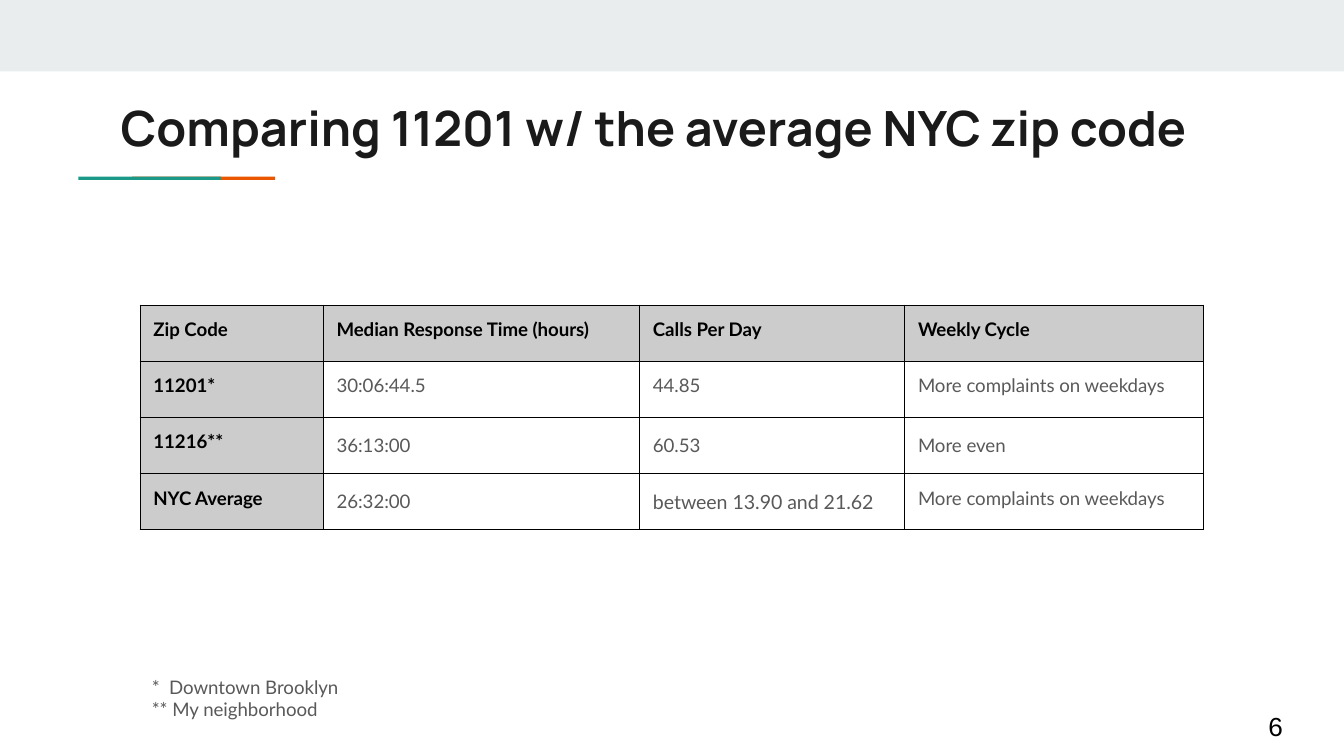
"""Build the slide that compares zip code 11201 with the NYC average."""
from dataclasses import dataclass

from lxml.etree import SubElement
from pptx import Presentation
from pptx.dml.color import RGBColor
from pptx.enum.shapes import MSO_SHAPE as Shape
from pptx.enum.text import MSO_ANCHOR as Anchor, MSO_AUTO_SIZE as AutoSize, PP_ALIGN as Align
from pptx.oxml.ns import qn
from pptx.util import Cm, Pt


@dataclass(frozen=True)
class Theme:
    """Colours, fonts and type sizes of the slide."""
    band: str = "E9EDEE"
    teal: str = "1A9988"
    orange: str = "EB5600"
    ink: str = "1A1A1A"
    black: str = "000000"
    grey: str = "595959"
    head_fill: str = "CCCCCC"
    title_font: str = "Manrope"
    body_font: str = "Lato"
    number_font: str = "Arial"
    title_size: float = 26
    body_size: float = 10
    range_size: float = 10.5
    number_size: float = 14
    border: float = 0.75
    inset: float = 0.25


THEME = Theme()
ROWS = [
    ["Zip Code", "Median Response Time (hours)", "Calls Per Day", "Weekly Cycle"],
    ["11201*", "30:06:44.5", "44.85", "More complaints on weekdays"],
    ["11216**", "36:13:00", "60.53", "More even"],
    ["NYC Average", "26:32:00", "between 13.90 and 21.62", "More complaints on weekdays"],
]
COLUMN_WIDTHS = [3.46, 5.98, 5.01, 5.64]
ROW_HEIGHT = 1.06
LOOSE_CELLS = {(2, 1), (2, 2), (2, 3), (3, 1), (3, 2)}
RANGE_CELL = (3, 2)


def style_paragraph(para, font, size, color, bold=False, spacing=1.0):
    """Set the type and line spacing of a paragraph."""
    para.font.name = font
    para.font.size = Pt(size)
    para.font.bold = bold
    para.font.color.rgb = RGBColor.from_string(color)
    para.line_spacing = spacing
    para.alignment = Align.LEFT


def set_insets(holder):
    """Give a text frame or table cell the common inset on all sides."""
    for side in ("left", "top", "right", "bottom"):
        setattr(holder, f"margin_{side}", Cm(THEME.inset))


def add_bar(page, left, top, width, height, color):
    """Add a plain filled rectangle."""
    bar = page.shapes.add_shape(Shape.RECTANGLE, Cm(left), Cm(top), Cm(width), Cm(height))
    bar.shadow.inherit = False
    bar.fill.solid()
    bar.fill.fore_color.rgb = RGBColor.from_string(color)
    bar.line.fill.background()


def set_title(page, text):
    """Fill, place and format the title placeholder."""
    title = page.shapes.title
    title.left, title.top, title.width, title.height = Cm(2.03), Cm(1.6), Cm(21.36), Cm(1.5)
    frame = title.text_frame
    frame.text = text
    frame.auto_size = AutoSize.NONE
    frame.vertical_anchor = Anchor.TOP
    set_insets(frame)
    style_paragraph(frame.paragraphs[0], THEME.title_font, THEME.title_size, THEME.ink, True)


def add_text(page, left, top, width, height, lines, font, size, color, anchor=Anchor.TOP):
    """Add a text box with one paragraph per line."""
    box = page.shapes.add_textbox(Cm(left), Cm(top), Cm(width), Cm(height))
    frame = box.text_frame
    frame.word_wrap = True
    frame.vertical_anchor = anchor
    set_insets(frame)
    frame.text = "\n".join(lines)
    for para in frame.paragraphs:
        style_paragraph(para, font, size, color)


def add_borders(cell):
    """Draw a thin black line on every side of a cell."""
    properties = cell._tc.get_or_add_tcPr()
    for position, side in enumerate(("lnL", "lnR", "lnT", "lnB")):
        line = SubElement(properties, qn(f"a:{side}"), w=str(Pt(THEME.border)))
        fill = SubElement(line, qn("a:solidFill"))
        SubElement(fill, qn("a:srgbClr"), val=THEME.black)
        properties.insert(position, line)


def format_cell(cell, text, row, column):
    """Write one cell and style it as a heading or a value."""
    heading = row == 0 or column == 0
    cell.text = text
    set_insets(cell)
    style_paragraph(
        cell.text_frame.paragraphs[0],
        THEME.body_font,
        THEME.range_size if (row, column) == RANGE_CELL else THEME.body_size,
        THEME.black if heading else THEME.grey,
        heading,
        1.15 if (row, column) in LOOSE_CELLS else 1.0,
    )
    if heading:
        cell.fill.solid()
        cell.fill.fore_color.rgb = RGBColor.from_string(THEME.head_fill)
    else:
        cell.fill.background()
    add_borders(cell)


def add_comparison_table(page, left, top):
    """Add the table of zip codes."""
    width, height = sum(COLUMN_WIDTHS), ROW_HEIGHT * len(ROWS)
    table = page.shapes.add_table(
        len(ROWS), len(COLUMN_WIDTHS), Cm(left), Cm(top), Cm(width), Cm(height)
    ).table
    table.horz_banding = False
    table.first_col = True
    for column, column_width in zip(table.columns, COLUMN_WIDTHS):
        column.width = Cm(column_width)
    for row, texts in enumerate(ROWS):
        table.rows[row].height = Cm(ROW_HEIGHT)
        for column, text in enumerate(texts):
            format_cell(table.cell(row, column), text, row, column)


def main():
    """Build and save the deck."""
    deck = Presentation()
    deck.slide_width, deck.slide_height = Cm(25.4), Cm(14.29)
    page = deck.slides.add_slide(deck.slide_layouts[5])
    add_bar(page, 0, 0, 25.4, 1.35, THEME.band)
    add_bar(page, 2.5, 3.34, 2.7, 0.06, THEME.orange)
    add_bar(page, 1.48, 3.34, 2.7, 0.06, THEME.teal)
    set_title(page, "Comparing 11201 w/ the average NYC zip code")
    add_comparison_table(page, 2.65, 5.77)
    add_text(page, 23.72, 13.18, 1.52, 1.09, ["6"],
             THEME.number_font, THEME.number_size, THEME.black, Anchor.MIDDLE)
    add_text(page, 2.62, 12.52, 20.17, 1.35, ["*  Downtown Brooklyn", "** My neighborhood"],
             THEME.body_font, THEME.body_size, THEME.grey)
    deck.save("out.pptx")


if __name__ == "__main__":
    main()
